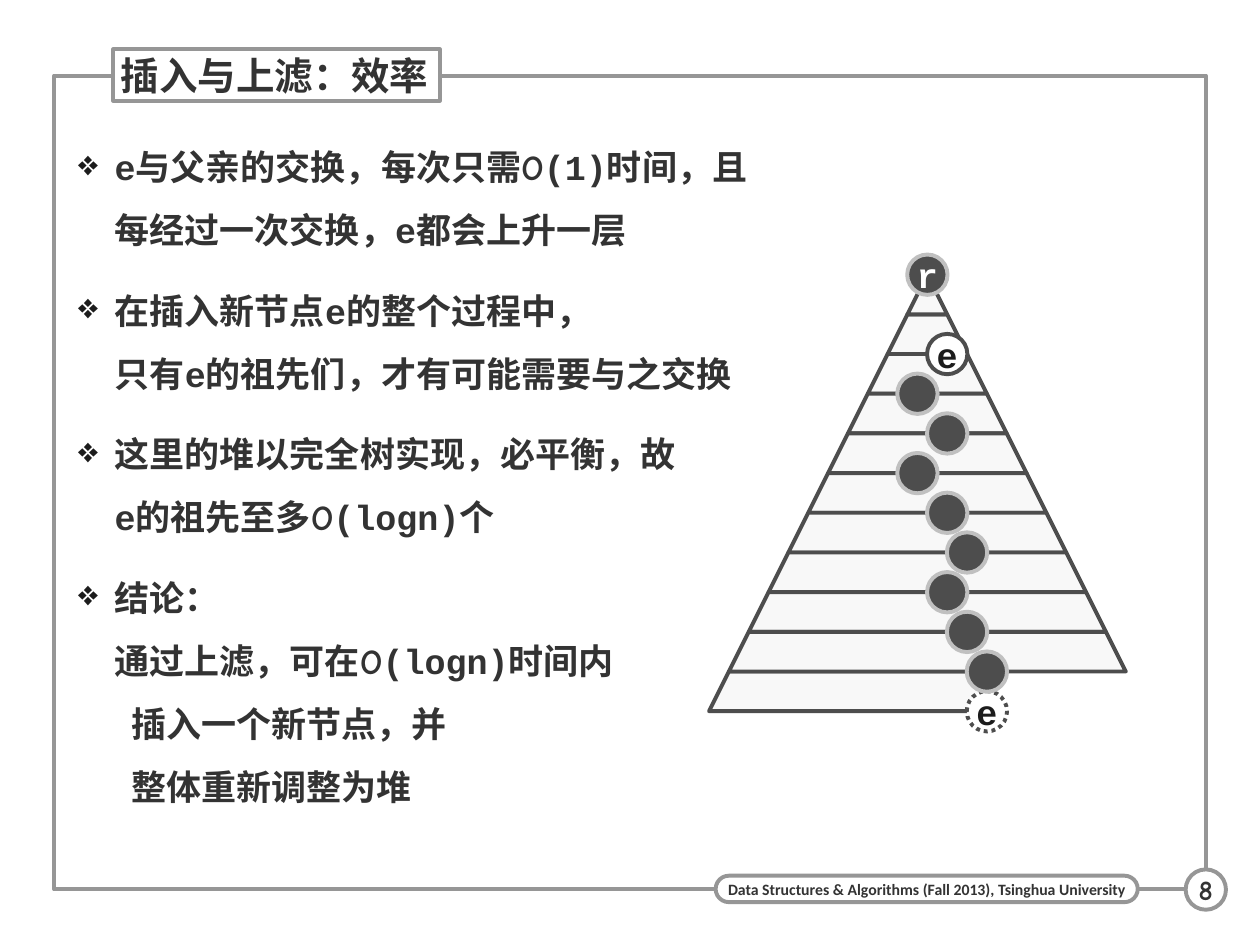
"""Build the slide on the efficiency of heap insertion with percolate-up."""
from dataclasses import dataclass

from lxml.etree import SubElement
from pptx import Presentation
from pptx.dml.color import RGBColor
from pptx.enum.dml import MSO_LINE
from pptx.enum.lang import MSO_LANGUAGE_ID as LANG
from pptx.enum.shapes import MSO_SHAPE as SHAPE
from pptx.enum.text import MSO_ANCHOR as ANCHOR, PP_ALIGN as ALIGN
from pptx.oxml.ns import qn
from pptx.util import Inches, Pt


@dataclass(frozen=True)
class Theme:
    ink: str = "333333"
    black: str = "1C1C1C"
    white: str = "FFFFFF"
    frame: str = "969696"
    dark: str = "4D4D4D"
    ring: str = "C0C0C0"
    layer: str = "F8F8F8"
    code: str = "Courier New"
    hand: str = "Comic Neue"
    plain: str = "Calibri"
    title_size: float = 22
    body_size: float = 20
    page_size: float = 16
    footer_size: float = 9
    stroke: float = 2.25


theme = Theme()


def paint(shape, fill, line):
    shape.shadow.inherit = False
    if fill:
        shape.fill.solid()
        shape.fill.fore_color.rgb = RGBColor.from_string(fill)
    else:
        shape.fill.background()
    shape.line.color.rgb = RGBColor.from_string(line)
    shape.line.width = Pt(theme.stroke)


def style(run, name, size, color):
    run.font.name = name
    run.font.size = Pt(size)
    run.font.bold = True
    run.font.color.rgb = RGBColor.from_string(color)
    run.font.language_id = LANG.SIMPLIFIED_CHINESE


deck = Presentation()
deck.slide_width, deck.slide_height = Inches(10), Inches(7.5)
slide = deck.slides.add_slide(deck.slide_layouts[6])
shapes = slide.shapes

frame = shapes.add_shape(
    SHAPE.RECTANGLE, Inches(0.43), Inches(0.6), Inches(9.14), Inches(6.46)
)
paint(frame, None, theme.frame)

labels = [
    (SHAPE.ROUNDED_RECTANGLE, (5.68, 6.95, 3.35, 0.21), (0.06, 0), ALIGN.CENTER,
     "Data Structures & Algorithms (Fall 2013), Tsinghua University",
     theme.plain, theme.footer_size),
    (SHAPE.OVAL, (9.41, 6.9, 0.32, 0.32), (0.04, 0.04), ALIGN.CENTER,
     "8", theme.hand, theme.page_size),
    (SHAPE.RECTANGLE, (0.9, 0.39, 2.59, 0.41), (0.06, 0.01), ALIGN.LEFT,
     "插入与上滤：效率", theme.code, theme.title_size),
]
for preset, place, (side, edge), align, words, font, size in labels:
    label = shapes.add_shape(preset, *map(Inches, place))
    paint(label, theme.white, theme.frame)
    if preset == SHAPE.ROUNDED_RECTANGLE:
        label.adjustments[0] = 0.5
    frame_text = label.text_frame
    frame_text.text = words
    frame_text.word_wrap = False
    frame_text.vertical_anchor = ANCHOR.MIDDLE
    frame_text.margin_left = frame_text.margin_right = Inches(side)
    frame_text.margin_top = frame_text.margin_bottom = Inches(edge)
    frame_text.paragraphs[0].alignment = align
    style(frame_text.paragraphs[0].runs[0], font, size, theme.ink)

points = [
    ["e与父亲的交换，每次只需O(1)时间，且", "每经过一次交换，e都会上升一层"],
    ["在插入新节点e的整个过程中，", "只有e的祖先们，才有可能需要与之交换"],
    ["这里的堆以完全树实现，必平衡，故", "e的祖先至多O(logn)个"],
    ["结论：", "通过上滤，可在O(logn)时间内", "\t插入一个新节点，并", "\t整体重新调整为堆"],
]
body = shapes.add_textbox(
    Inches(0.46), Inches(0.91), Inches(9.11), Inches(5.91)
).text_frame
body.word_wrap = True
body.margin_left, body.margin_right = Inches(0.16), 0
body.margin_top = body.margin_bottom = Inches(0.08)
for index, lines in enumerate(points):
    point = body.add_paragraph() if index else body.paragraphs[0]
    point.line_spacing = 1.5
    point.space_before = Pt(7.5 if index else 0)
    point.space_after = Pt(2.5)
    layout = point._p.get_or_add_pPr()
    layout.set("marL", str(Inches(0.29)))
    layout.set("indent", str(-Inches(0.29)))
    SubElement(SubElement(layout, qn("a:buClr")), qn("a:srgbClr"), val=theme.black)
    SubElement(layout, qn("a:buChar"), char="❖")
    tabs = SubElement(layout, qn("a:tabLst"))
    SubElement(tabs, qn("a:tab"), pos=str(Inches(0.42)), algn="l")
    for row, line in enumerate(lines):
        if row:
            point.add_line_break()
        for part in filter(None, line.partition("O")):
            run = point.add_run()
            run.text = part
            font = theme.hand if part == "O" else theme.code
            style(run, font, theme.body_size, theme.ink)

CENTER, APEX, STEP, LAYERS = 7.36, 2.18, 0.315, 10
base = APEX + LAYERS * STEP
left = CENTER - LAYERS * STEP / 2
outlines = [
    [(left, base), (7.84, base), (7.84, base + STEP), (left - STEP / 2, base + STEP)]
]
for level in range(1, LAYERS):
    top, half = APEX + level * STEP, level * STEP / 2
    low = half + STEP / 2
    outlines.append([
        (CENTER - half, top), (CENTER + half, top),
        (CENTER + low, top + STEP), (CENTER - low, top + STEP),
    ])
for outline in outlines:
    corners = [(Inches(x), Inches(y)) for x, y in outline]
    builder = shapes.build_freeform(*corners[0])
    builder.add_line_segments(corners[1:], close=True)
    paint(builder.convert_to_shape(), theme.layer, theme.dark)
tip = shapes.add_shape(
    SHAPE.ISOSCELES_TRIANGLE,
    Inches(CENTER - STEP / 2), Inches(APEX), Inches(STEP), Inches(STEP),
)
paint(tip, theme.layer, theme.dark)

NODE = 0.32
plain_node = ("", theme.dark, theme.ring, theme.white)
special_nodes = {
    0: ("r", theme.dark, theme.ring, theme.white),
    2: ("e", theme.white, theme.dark, theme.black),
    11: ("e", theme.white, theme.dark, theme.black),
}
ancestors = {0: 0, 2: 0.5, 3: -0.25, 4: 0.5, 5: -0.25, 6: 0.5,
             7: 1, 8: 0.5, 9: 1, 11: 1.5, 10: 1.5}
for level, shift in ancestors.items():
    letter, fill, ring, ink = special_nodes.get(level, plain_node)
    node = shapes.add_shape(
        SHAPE.OVAL,
        Inches(CENTER + shift * STEP - NODE / 2),
        Inches(APEX + level * STEP - NODE / 2),
        Inches(NODE), Inches(NODE),
    )
    paint(node, fill, ring)
    if level > LAYERS:
        node.line.dash_style = MSO_LINE.ROUND_DOT
    if letter:
        mark = node.text_frame
        mark.text = letter
        mark.word_wrap = False
        mark.vertical_anchor = ANCHOR.MIDDLE
        mark.margin_left = mark.margin_right = 0
        mark.margin_top = mark.margin_bottom = 0
        mark.paragraphs[0].alignment = ALIGN.CENTER
        style(mark.paragraphs[0].runs[0], theme.code, theme.body_size, ink)

deck.save("out.pptx")
